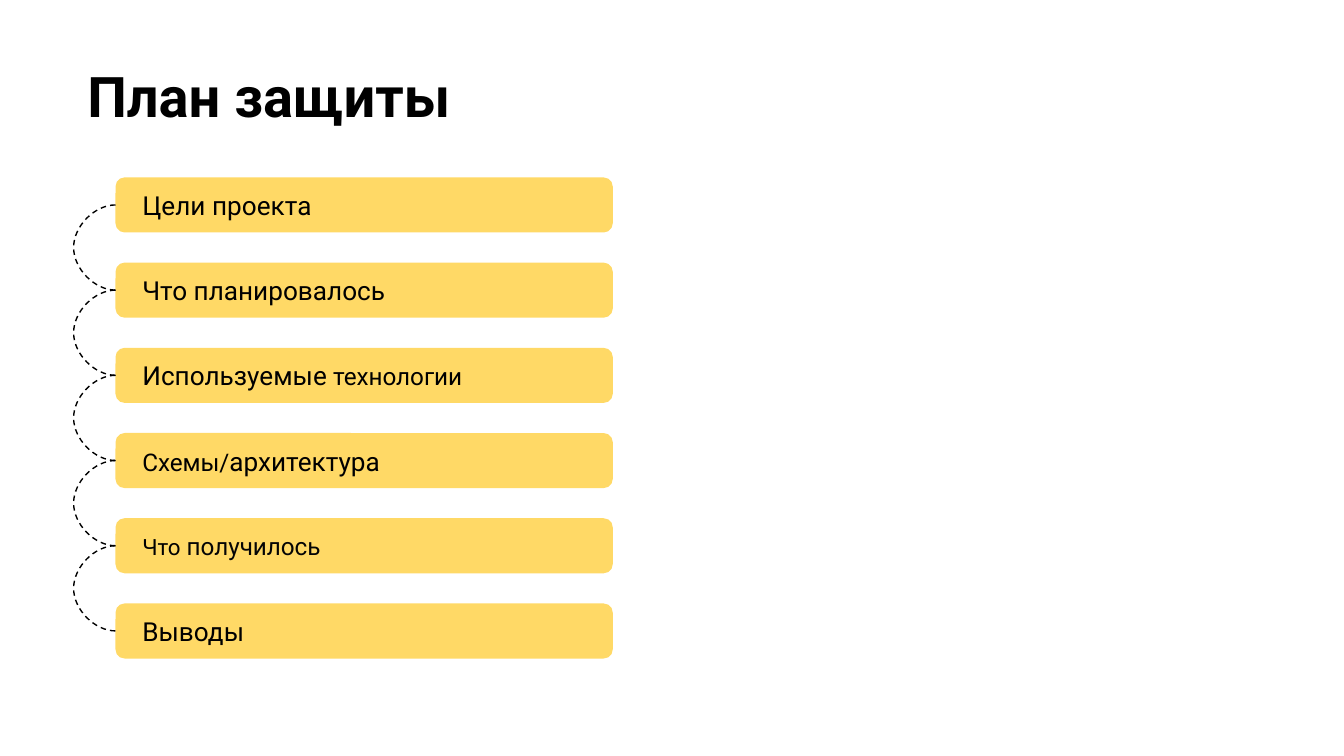
from lxml import etree
from pptx import Presentation
from pptx.dml.color import RGBColor
from pptx.enum.dml import MSO_LINE
from pptx.enum.shapes import MSO_CONNECTOR, MSO_SHAPE
from pptx.enum.text import MSO_ANCHOR, MSO_AUTO_SIZE, PP_ALIGN
from pptx.oxml.ns import qn
from pptx.util import Emu, Inches, Pt

DASH = MSO_LINE.DASH
CURVE = MSO_CONNECTOR.CURVE
ROUNDED = MSO_SHAPE.ROUNDED_RECTANGLE
TOP, MIDDLE = MSO_ANCHOR.TOP, MSO_ANCHOR.MIDDLE
NO_FIT = MSO_AUTO_SIZE.NONE
LEFT = PP_ALIGN.LEFT

FONT = "Roboto"
BLACK, NEAR_BLACK, YELLOW, WHITE = "000000", "050505", "FFD966", "FFFFFF"
SLIDE_W = 10
SLIDE_H = SLIDE_W * 9 / 16
TITLE_BOX = (0.55, 0.36, 9.32, 1.2)
PLAN_BOX = (0.86, 1.32, 3.7, 3.58)
STEP_SHARE = 0.41 / 3.58
LINK_BULGE = 0.26
LEFT_SIDE = 1

STEPS = [
    [("Цели проекта", 14, BLACK)],
    [("Что планировалось", 14, BLACK)],
    [("Используемые", 14, BLACK), (" технологии", 13, BLACK)],
    [("Схемы/", 13, BLACK), ("архитектура", 14, BLACK)],
    [("Что", 12, BLACK), (" получилось", 13, NEAR_BLACK)],
    [("Выводы", 14, BLACK)],
]


def color(hex_value):
    """Turn a hex string into a colour."""
    return RGBColor.from_string(hex_value)


def write(frame, runs, bold=False, anchor=TOP, side_inset=0.1):
    """Fill a text frame with one left-aligned paragraph of (text, size, colour) runs."""
    frame.word_wrap = True
    frame.auto_size = NO_FIT
    frame.vertical_anchor = anchor
    frame.margin_left = frame.margin_right = Inches(side_inset)
    frame.margin_top = frame.margin_bottom = Inches(0.1)
    paragraph = frame.paragraphs[0]
    paragraph.alignment = LEFT
    for text, size, hex_value in runs:
        run = paragraph.add_run()
        run.text = text
        run.font.name = FONT
        run.font.size = Pt(size)
        run.font.bold = bold
        run.font.color.rgb = color(hex_value)


def place_title(slide, box, text):
    """Move the title placeholder into the box and fill it."""
    title = slide.shapes.title
    title.left, title.top, title.width, title.height = map(Inches, box)
    write(title.text_frame, [(text, 30, BLACK)], bold=True)


def add_step(slide, box, runs):
    """Add one rounded step of the plan."""
    step = slide.shapes.add_shape(ROUNDED, *map(Inches, box))
    step.adjustments[0] = 0.167
    step.shadow.inherit = False
    step.fill.solid()
    step.fill.fore_color.rgb = color(YELLOW)
    step.line.fill.background()
    write(step.text_frame, runs, anchor=MIDDLE, side_inset=0.18)
    return step


def add_link(slide, upper, lower):
    """Join the left sides of two steps with a dashed curve that bulges outwards."""
    start, end = (step.top + step.height // 2 for step in (upper, lower))
    link = slide.shapes.add_connector(CURVE, upper.left, start, lower.left, end)
    link.begin_connect(upper, LEFT_SIDE)
    link.end_connect(lower, LEFT_SIDE)
    link.width = Emu(600)
    link.line.color.rgb = color(BLACK)
    link.line.width = Pt(0.75)
    link.line.dash_style = DASH
    properties = link._element.spPr
    etree.SubElement(properties, qn("a:effectLst"))
    guides = properties.find(qn("a:prstGeom")).get_or_add_avLst()
    bend = round(-Inches(LINK_BULGE) / link.width * 100000)
    etree.SubElement(guides, qn("a:gd"), name="adj1", fmla=f"val {bend}")


def place_plan(slide, box, steps):
    """Stack the steps evenly in the box and link each to the next."""
    left, top, width, height = box
    step_height = height * STEP_SHARE
    pitch = (height - step_height) / (len(steps) - 1)
    placed = [
        add_step(slide, (left, top + row * pitch, width, step_height), runs)
        for row, runs in enumerate(steps)
    ]
    for upper, lower in zip(placed, placed[1:]):
        add_link(slide, upper, lower)


def main():
    """Build and save the presentation."""
    deck = Presentation()
    deck.slide_width, deck.slide_height = Inches(SLIDE_W), Inches(SLIDE_H)
    slide = deck.slides.add_slide(deck.slide_layouts[5])
    slide.background.fill.solid()
    slide.background.fill.fore_color.rgb = color(WHITE)
    place_title(slide, TITLE_BOX, "План защиты")
    place_plan(slide, PLAN_BOX, STEPS)
    deck.save("out.pptx")


if __name__ == "__main__":
    main()
